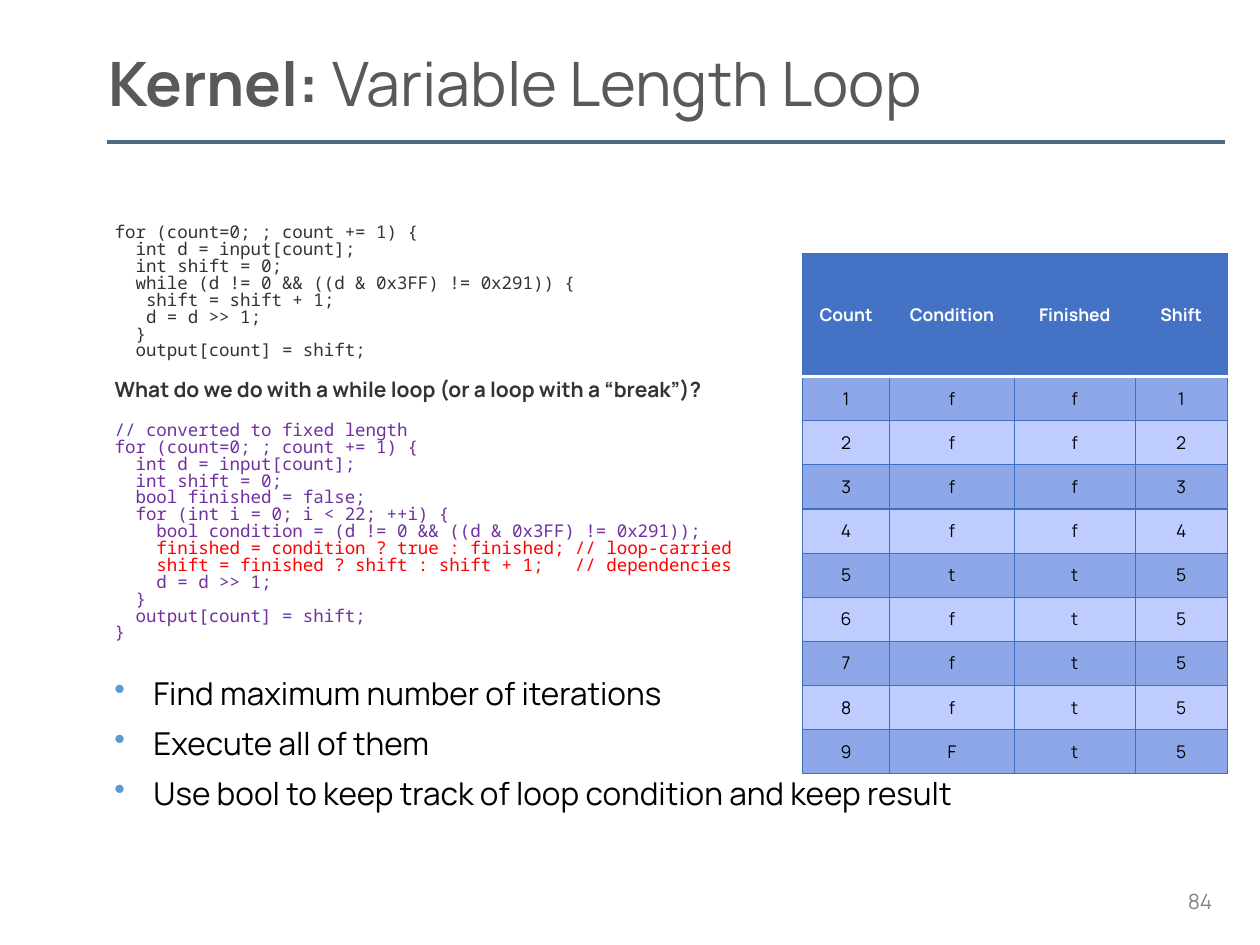
from dataclasses import dataclass

from lxml import etree
from pptx import Presentation
from pptx import util as u
from pptx.dml.color import RGBColor
from pptx.enum import shapes, text
from pptx.oxml import ns


@dataclass(frozen=True)
class Theme:
    sans: str = "Manrope"
    mono: str = "Noto Sans Mono"
    title: str = "595959"
    rule: str = "4F6A83"
    number: str = "888888"
    code: str = "333333"
    converted: str = "7030A0"
    dependency: str = "FF0000"
    body: str = "000000"
    bullet: str = "5B9BD5"
    header: str = "4472C4"
    header_text: str = "FFFFFF"
    odd_row: str = "8EA7E8"
    even_row: str = "BFCCFF"
    border: str = "3F6FC3"
    title_size: float = 35
    body_size: float = 18
    heading_size: float = 12
    small_size: float = 10
    code_pitch: float = 9.63


@dataclass(frozen=True)
class Box:
    left: float
    top: float
    width: float
    height: float

    def lengths(self) -> list:
        return [u.Inches(n) for n in (self.left, self.top, self.width, self.height)]


@dataclass(frozen=True)
class Border:
    side: str
    color: str
    width: float


THEME = Theme()
ORIGINAL_CODE = """for (count=0; ; count += 1) {
  int d = input[count];
  int shift = 0;
  while (d != 0 && ((d & 0x3FF) != 0x291)) {
   shift = shift + 1;
   d = d >> 1;
  }
  output[count] = shift;"""
QUESTION = "What do we do with a while loop (or a loop with a “break”)?"
CONVERTED_CODE = """// converted to fixed length
for (count=0; ; count += 1) {
  int d = input[count];
  int shift = 0;
  bool finished = false;
  for (int i = 0; i < 22; ++i) {
    bool condition = (d != 0 && ((d & 0x3FF) != 0x291));
    finished = condition ? true : finished; // loop-carried
    shift = finished ? shift : shift + 1;   // dependencies
    d = d >> 1;
  }
  output[count] = shift;
}"""
STEPS = (
    "Find maximum number of iterations",
    "Execute all of them",
    "Use bool to keep track of loop condition and keep result",
)
HEADINGS = ("Count", "Condition", "Finished", "Shift")
TRACE = ("1ff1", "2ff2", "3ff3", "4ff4", "5tt5", "6ft5", "7ft5", "8ft5", "9Ft5")
COLUMN_WIDTHS = (0.69, 0.99, 0.96, 0.73)
HEADER_HEIGHT, ROW_HEIGHT = 0.98, 0.35


def add_box(slide, box: Box, margins=(0, 0), anchor=text.MSO_ANCHOR.TOP):
    frame = slide.shapes.add_textbox(*box.lengths()).text_frame
    frame.word_wrap = True
    frame.vertical_anchor = anchor
    frame.margin_left = frame.margin_right = u.Inches(margins[0])
    frame.margin_top = frame.margin_bottom = u.Inches(margins[1])
    return frame


def next_paragraph(frame):
    first = frame.paragraphs[0]
    return frame.add_paragraph() if first.runs else first


def write(paragraph, words: str, *, size: float, color: str, font: str = THEME.sans,
          bold: bool = False, align=text.PP_ALIGN.LEFT, before: float = 0,
          after: float = 0, spacing=None) -> None:
    paragraph.alignment = align
    paragraph.space_before, paragraph.space_after = u.Pt(before), u.Pt(after)
    if spacing is not None:
        paragraph.line_spacing = spacing
    run = paragraph.add_run()
    run.text = words
    run.font.name, run.font.size, run.font.bold = font, u.Pt(size), bold
    run.font.color.rgb = RGBColor.from_string(color)


def add_color(parent, color: str) -> None:
    etree.SubElement(parent, ns.qn("a:srgbClr"), val=color)


def add_bullet(paragraph) -> None:
    properties = paragraph._p.get_or_add_pPr()
    properties.set("marL", str(u.Inches(0.31)))
    properties.set("indent", str(u.Inches(-0.31)))
    add_color(etree.SubElement(properties, ns.qn("a:buClr")), THEME.bullet)
    etree.SubElement(properties, ns.qn("a:buChar"), char="•")


def add_border(cell, border: Border) -> None:
    properties = cell._tc.get_or_add_tcPr()
    line = etree.SubElement(properties, ns.qn(f"a:ln{border.side}"), w=str(u.Pt(border.width)))
    add_color(etree.SubElement(line, ns.qn("a:solidFill")), border.color)


def draw_title(slide) -> None:
    paragraph = add_box(slide, Box(0.86, 0.36, 8.69, 0.66)).paragraphs[0]
    for words, bold in (("Kernel: ", True), ("Variable Length Loop", False)):
        write(paragraph, words, size=THEME.title_size, color=THEME.title, bold=bold)
    rule = slide.shapes.add_connector(
        shapes.MSO_CONNECTOR.STRAIGHT,
        u.Inches(0.85), u.Inches(1.13), u.Inches(9.72), u.Inches(1.13))
    rule.line.color.rgb = RGBColor.from_string(THEME.rule)
    rule.line.width = u.Pt(2.25)
    etree.SubElement(rule._element.spPr, ns.qn("a:effectLst"))


def write_code(frame, code: str, color: str, gap: float = 0) -> None:
    for index, line in enumerate(code.splitlines()):
        dependency = line.strip().startswith(("finished =", "shift = finished"))
        write(next_paragraph(frame), line, size=THEME.small_size, font=THEME.mono,
              color=THEME.dependency if dependency else color,
              before=0 if index else gap, spacing=u.Pt(THEME.code_pitch))


def draw_code(slide) -> None:
    frame = add_box(slide, Box(0.91, 1.59, 5.12, 5.08), margins=(0, 0.2))
    write_code(frame, ORIGINAL_CODE, THEME.code)
    write(next_paragraph(frame), QUESTION, size=THEME.heading_size,
          color=THEME.code, bold=True, before=9.4)
    write_code(frame, CONVERTED_CODE, THEME.converted, gap=12)


def draw_trace(slide) -> None:
    rows = (HEADINGS, *TRACE)
    box = Box(6.37, 2.01, sum(COLUMN_WIDTHS), HEADER_HEIGHT + ROW_HEIGHT * len(TRACE))
    table = slide.shapes.add_table(len(rows), len(HEADINGS), *box.lengths()).table
    table.horz_banding = False
    for column, width in zip(table.columns, COLUMN_WIDTHS):
        column.width = u.Inches(width)
    for index, values in enumerate(rows):
        header = index == 0
        table.rows[index].height = u.Inches(HEADER_HEIGHT if header else ROW_HEIGHT)
        fill = THEME.header if header else THEME.odd_row if index % 2 else THEME.even_row
        divider = {0: "B", 1: "T"}.get(index)
        for column, value in enumerate(values):
            cell = table.cell(index, column)
            cell.vertical_anchor = text.MSO_ANCHOR.MIDDLE
            for side in "LRTB":
                white = side == divider
                add_border(cell, Border(side, THEME.header_text if white else THEME.border,
                                        2 if white else 0.75))
            cell.fill.solid()
            cell.fill.fore_color.rgb = RGBColor.from_string(fill)
            write(cell.text_frame.paragraphs[0], value, size=THEME.small_size, bold=header,
                  color=THEME.header_text if header else THEME.body,
                  align=text.PP_ALIGN.CENTER)


def draw_steps(slide) -> None:
    frame = add_box(slide, Box(0.81, 5.33, 8.8, 1.52), margins=(0.1, 0.05))
    for step in STEPS:
        paragraph = next_paragraph(frame)
        add_bullet(paragraph)
        write(paragraph, step, size=THEME.body_size, color=THEME.body, after=9.3, spacing=0.9)


def draw_number(slide) -> None:
    frame = add_box(slide, Box(9.27, 6.95, 0.45, 0.4), (0.1, 0.05), text.MSO_ANCHOR.MIDDLE)
    write(frame.paragraphs[0], "84", size=THEME.heading_size, color=THEME.number,
          align=text.PP_ALIGN.RIGHT)


def main() -> None:
    presentation = Presentation()
    presentation.slide_width, presentation.slide_height = u.Inches(10), u.Inches(7.5)
    slide = presentation.slides.add_slide(presentation.slide_layouts[6])
    for draw in (draw_title, draw_number, draw_code, draw_trace, draw_steps):
        draw(slide)
    presentation.save("out.pptx")


if __name__ == "__main__":
    main()
